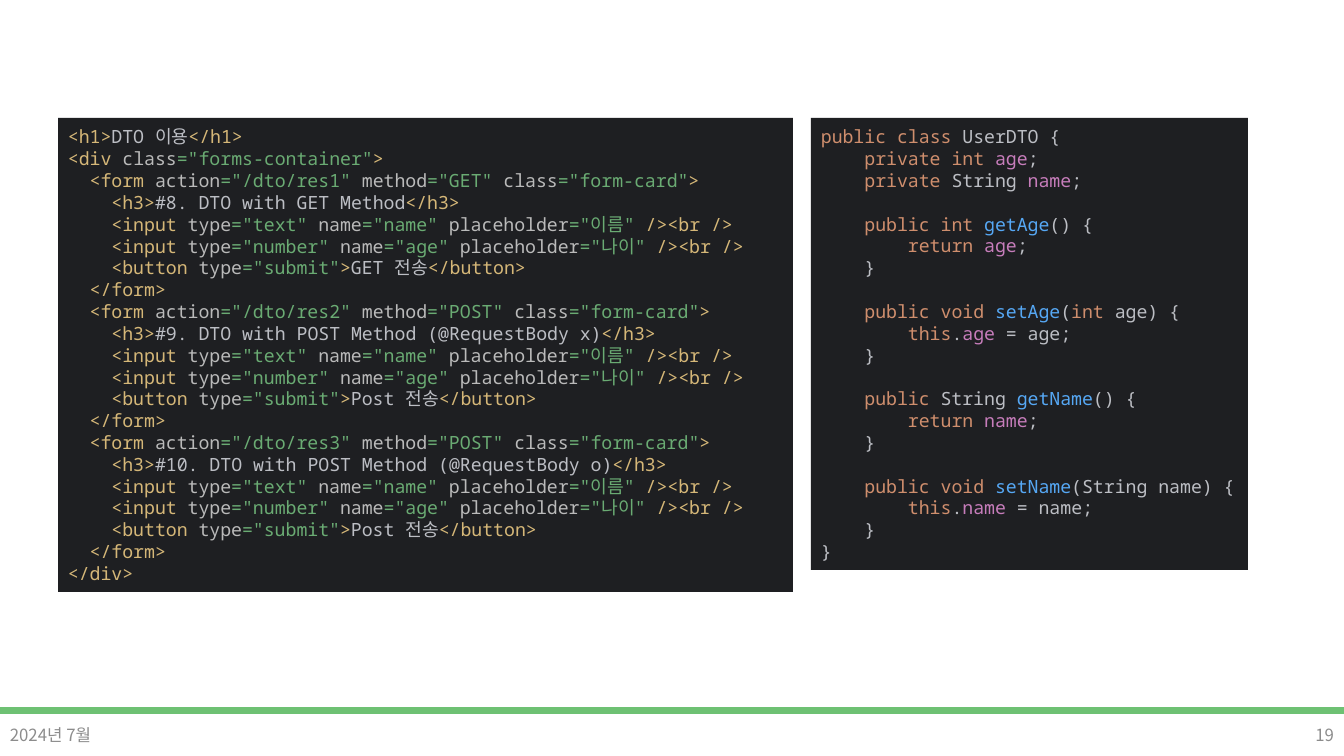
from copy import deepcopy
from dataclasses import dataclass

from lxml import etree
from pptx import Presentation
from pptx import util as u
from pptx.dml.color import RGBColor
from pptx.enum import shapes, text
from pptx.oxml.ns import qn

WIDTH, HEIGHT = 1344, 756
EMU_PER_PX = 12192000 / WIDTH

SANS, MONO = "Noto Sans CJK KR", "Noto Sans Mono"
CODE_SIZE, CODE_PITCH, FOOTER_SIZE = 13, 15.6, 12

GREEN = RGBColor(0x6E, 0xC1, 0x73)
GREY = RGBColor(0x8C, 0x8C, 0x8C)
EDITOR = RGBColor(0x1E, 0x1F, 0x22)
SYNTAX = {
    "t": RGBColor(0xD5, 0xB7, 0x78),  # tag
    "a": RGBColor(0xBA, 0xBA, 0xBA),  # attribute
    "v": RGBColor(0x6A, 0xAB, 0x73),  # value
    "p": RGBColor(0xBC, 0xBE, 0xC4),  # plain
    "k": RGBColor(0xCF, 0x8E, 0x6D),  # keyword
    "f": RGBColor(0xC7, 0x7D, 0xBB),  # field
    "m": RGBColor(0x56, 0xA8, 0xF5),  # method
}


@dataclass
class Box:
    x: int
    y: int
    w: int
    h: int


@dataclass
class Form:
    number: int
    method: str
    title: str
    button: str


@dataclass
class Panel:
    box: Box
    code: str
    wrap: bool


@dataclass
class Footer:
    box: Box
    words: str
    align: text.PP_ALIGN


def px(n: int) -> int:
    return round(n * EMU_PER_PX)


def place(box: Box) -> list[int]:
    return [px(n) for n in (box.x, box.y, box.w, box.h)]


# In code, "~" and a SYNTAX key start each coloured stretch
def input_code(kind: str, name: str, hint: str) -> str:
    return (f'    ~t<input ~atype~v="{kind}" ~aname~v="{name}" '
            f'~aplaceholder~v="~v{hint}~v" ~t/><br />\n')


def form_code(form: Form) -> str:
    return (f'  ~t<form ~aaction~v="/dto/res{form.number - 7}" '
            f'~amethod~v="{form.method}" ~aclass~v="form-card"~t>\n'
            f'    <h3>~p#{form.number}. DTO with {form.title}~t</h3>\n'
            + input_code("text", "name", "이름")
            + input_code("number", "age", "나이")
            + f'    ~t<button ~atype~v="submit"~t>~p{form.button} ~p전송~t</button>\n'
            '  </form>\n')


def accessor_code(kind: str, field: str) -> str:
    cap = field.capitalize()
    typed = "~kint ~p" if kind == "int" else f"{kind} "
    getter = "~kpublic int " if kind == "int" else f"~kpublic ~p{kind} "
    return (f"\n    {getter}~mget{cap}~p() {{\n"
            f"        ~kreturn ~f{field}~p;\n    }}\n\n"
            f"    ~kpublic void ~mset{cap}~p({typed}{field}) {{\n"
            f"        ~kthis~p.~f{field} ~p= {field};\n    }}\n")


FORMS = [
    Form(8, "GET", "GET Method", "GET"),
    Form(9, "POST", "POST Method (@RequestBody x)", "Post"),
    Form(10, "POST", "POST Method (@RequestBody o)", "Post"),
]
HTML = ('~t<h1>~pDTO ~p이용~t</h1>\n<div ~aclass~v="forms-container"~t>\n'
        + "".join(map(form_code, FORMS)) + "</div>")
JAVA = ("~kpublic class ~pUserDTO {\n"
        "    ~kprivate int ~fage~p;\n"
        "    ~kprivate ~pString ~fname~p;\n"
        + accessor_code("int", "age") + accessor_code("String", "name") + "}")

PANELS = [
    Panel(Box(58, 118, 735, 474), HTML, True),
    Panel(Box(811, 118, 437, 452), JAVA, False),
]
FOOTERS = [
    Footer(Box(0, 715, 302, 40), "2024년 7월", text.PP_ALIGN.LEFT),
    Footer(Box(WIDTH - 302, 715, 302, 40), "19", text.PP_ALIGN.RIGHT),
]


def style(r, size: int, color: RGBColor, font: str) -> None:
    r.font.size = u.Pt(size)
    r.font.color.rgb = color
    r.font.name = font
    # East Asian glyphs take their own typeface
    etree.SubElement(r.font._element, qn("a:ea")).set("typeface", font)


def add_rect(s, box: Box, fill: RGBColor):
    sp = s.shapes.add_shape(shapes.MSO_SHAPE.RECTANGLE, *place(box))
    sp.shadow.inherit = False
    sp.fill.solid()
    sp.fill.fore_color.rgb = fill
    sp.line.fill.background()
    return sp


def add_panel(s, panel: Panel) -> None:
    tf = add_rect(s, panel.box, EDITOR).text_frame
    tf.word_wrap = panel.wrap
    tf.vertical_anchor = text.MSO_ANCHOR.MIDDLE
    p = tf.paragraphs[0]
    p.alignment = text.PP_ALIGN.LEFT
    p.line_spacing = u.Pt(CODE_PITCH)
    for stretch in panel.code.split("~")[1:]:
        color = SYNTAX[stretch[0]]
        for i, line in enumerate(stretch[1:].split("\n")):
            if i:
                # A line break keeps the format of the run before it
                p.add_line_break()
                p._p[-1].append(deepcopy(p.runs[-1].font._element))
            if line:
                r = p.add_run()
                r.text = line
                style(r, CODE_SIZE, color, MONO if line.isascii() else SANS)


def add_footer(s, footer: Footer) -> None:
    tf = s.shapes.add_textbox(*place(footer.box)).text_frame
    tf.word_wrap = True
    tf.vertical_anchor = text.MSO_ANCHOR.MIDDLE
    p = tf.paragraphs[0]
    p.text = footer.words
    p.alignment = footer.align
    style(p.runs[0], FOOTER_SIZE, GREY, SANS)


def main() -> None:
    prs = Presentation()
    prs.slide_width, prs.slide_height = px(WIDTH), px(HEIGHT)
    s = prs.slides.add_slide(prs.slide_layouts[6])

    # Footer rule, date and page number
    rule = add_rect(s, Box(0, 708, WIDTH, 5), GREEN)
    rule.line.color.rgb = GREEN
    rule.line.width = u.Pt(1)
    for footer in FOOTERS:
        add_footer(s, footer)

    # Code panels
    for panel in PANELS:
        add_panel(s, panel)

    prs.save("out.pptx")


if __name__ == "__main__":
    main()
